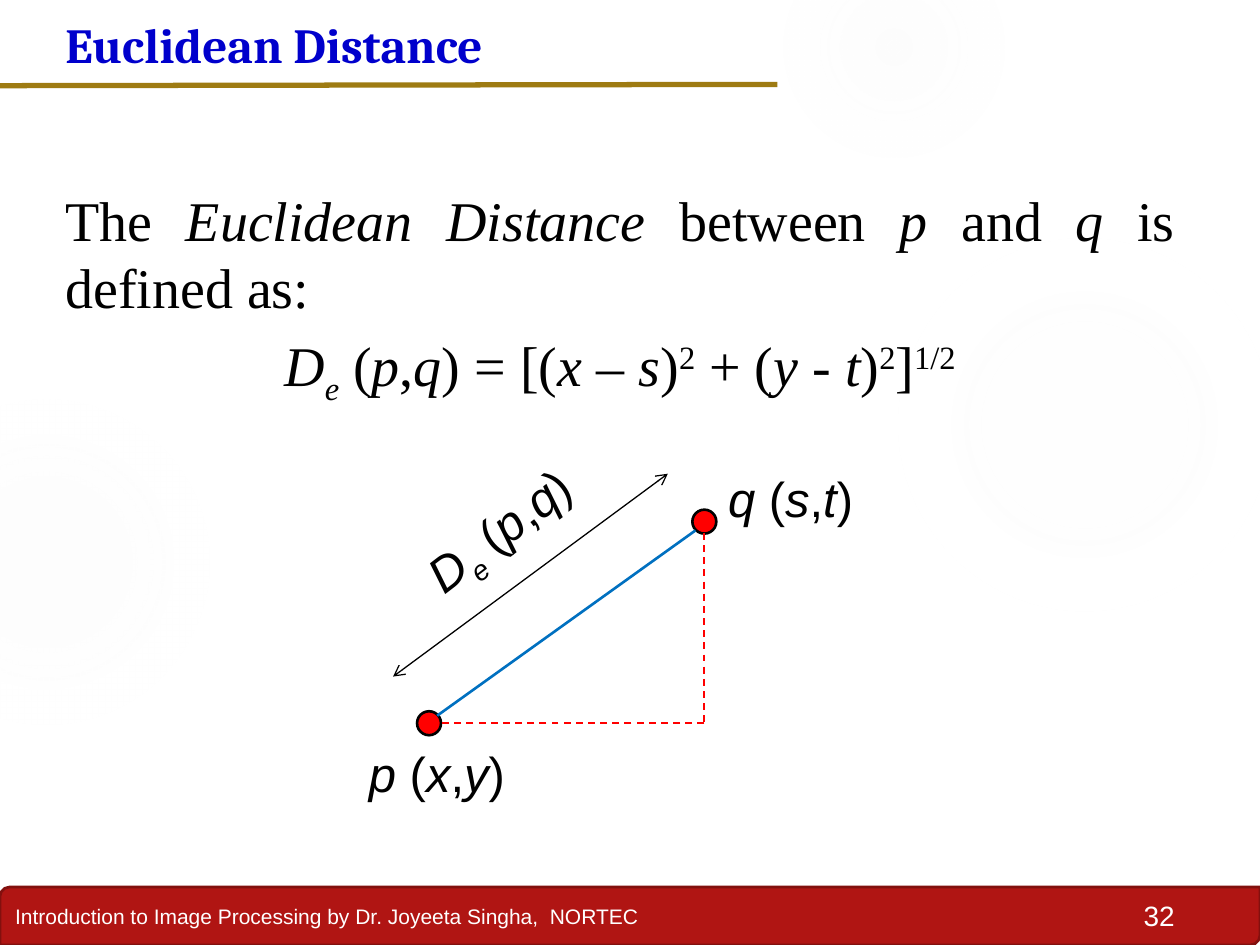
from lxml import etree
from pptx import Presentation
from pptx.dml.color import RGBColor as RGB
from pptx.enum.dml import MSO_LINE_DASH_STYLE as Dash
from pptx.enum.shapes import MSO_CONNECTOR as Conn, MSO_SHAPE as Shape
from pptx.enum.text import MSO_ANCHOR as Anchor, PP_ALIGN as Align
from pptx.oxml import parse_xml
from pptx.oxml.ns import nsdecls, qn
from pptx.util import Inches, Pt

COLORS = {
    "bar": "B01513", "edge": "82100E", "gold": "9E7B12", "title": "0000CC",
    "ink": "000000", "white": "FFFFFF", "dot": "FF0000", "link": "0070C0",
    "halo": "F3F3F3",
}
COLS, ROWS = 100, 75  # grid cells of a tenth of an inch
SHIFT = {"_": -25000, "^": 30000}


class Deck:
    def __init__(self):
        self.prs = Presentation()
        self.prs.slide_width, self.prs.slide_height = Inches(10), Inches(7.5)
        self.slide = self.prs.slides.add_slide(self.prs.slide_layouts[6])
        self.shapes = self.slide.shapes

    def color(self, name):
        return RGB.from_string(COLORS[name])

    def grid(self, x, y):
        width, height = self.prs.slide_width, self.prs.slide_height
        return round(x * width / COLS), round(y * height / ROWS)

    def label(self, para, text, size, font="Arial", color="ink", bold=None, align=None):
        """Split at |; a part led by / is italic, _ italic subscript, ^ superscript."""
        para.alignment = align
        face = para.font
        face.name, face.size, face.bold = font, Pt(size), bold
        face.color.rgb = self.color(color)
        for part in text.split("|"):
            mark = part[0] if part[0] in "/_^" else ""
            run = para.add_run()
            run.text = part[len(mark):]
            if mark in ("/", "_"):
                run.font.italic = True
            if mark in SHIFT:
                run.font._element.set("baseline", str(SHIFT[mark]))

    def text(self, x, y, w, h, lines, size, turn=0, wrap=True, gap=0,
             aligns=(None,), **style):
        box = self.shapes.add_textbox(*self.grid(x, y), *self.grid(w, h))
        box.rotation = turn
        frame = box.text_frame
        frame.word_wrap = wrap
        for i, (line, align) in enumerate(zip(lines, aligns)):
            para = frame.add_paragraph() if i else frame.paragraphs[0]
            para.space_before = Pt(gap)
            self.label(para, line, size, align=align, **style)

    def shape(self, kind, x, y, w, h, fill=None, line=None, width=1.5):
        item = self.shapes.add_shape(kind, *self.grid(x, y), *self.grid(w, h))
        item.shadow.inherit = False
        if fill:
            item.fill.solid()
            item.fill.fore_color.rgb = self.color(fill)
        if line:
            item.line.color.rgb = self.color(line)
            item.line.width = Pt(width)
        else:
            item.line.fill.background()
        return item

    def halo(self, x, y, size, stops):
        item = self.shape(Shape.OVAL, x, y, size, size)
        steps = "".join(
            f'<a:gs pos="{pos * 1000}"><a:srgbClr val="{COLORS["halo"]}">'
            f'<a:alpha val="{alpha * 1000}"/></a:srgbClr></a:gs>'
            for pos, alpha in stops)
        fill = parse_xml(
            f'<a:gradFill {nsdecls("a")}><a:gsLst>{steps}</a:gsLst><a:path path="circle">'
            '<a:fillToRect l="50000" t="50000" r="50000" b="50000"/></a:path></a:gradFill>')
        item._element.spPr.find(qn("a:prstGeom")).addnext(fill)

    def line(self, start, end, color, width, dash=None, arrows=False):
        item = self.shapes.add_connector(
            Conn.STRAIGHT, *self.grid(*start), *self.grid(*end))
        item.line.color.rgb = self.color(color)
        item.line.width = Pt(width)
        if dash:
            item.line.dash_style = dash
        if arrows:
            for tag in ("a:headEnd", "a:tailEnd"):
                etree.SubElement(item.line._get_or_add_ln(), qn(tag), type="arrow")
        etree.SubElement(item._element.spPr, qn("a:effectLst"))

    def dot(self, x, y, size=1.9):
        self.shape(Shape.OVAL, x - size / 2, y - size / 2, size, size, "dot", "ink")


def main():
    deck = Deck()

    # Footer bar and faint halos
    bar = deck.shape(Shape.ROUND_2_DIAG_RECTANGLE, 0, 70.4, COLS, 4.6, "bar", "edge")
    bar.text_frame.vertical_anchor = Anchor.MIDDLE
    deck.label(bar.text_frame.paragraphs[0],
               "Introduction to Image Processing by Dr. Joyeeta Singha,  NORTEC",
               12, color="white", align=Align.LEFT)
    deck.halo(70.7, 18.3, 30.8, [(0, 7), (36, 6), (69, 0)])
    deck.halo(62.2, -5, 17.5, [(0, 14), (36, 7), (73, 0)])
    deck.halo(-9.2, 31.7, 25.8, [(0, 8), (36, 8), (72, 0)])
    deck.text(86.7, 70.8, 7.5, 3.7, ["32"], 16, color="white", aligns=[Align.RIGHT])

    # Title and rule
    deck.line((-0.2, 6.8), (61.7, 6.7), "gold", 3)
    deck.text(4.2, 0.7, 35.2, 5.7, ["Euclidean Distance"], 28, wrap=False,
              font="Cambria", color="title", bold=True)

    # Definition
    deck.text(4.2, 14.2, 90, 18.3, [
        "The |/Euclidean Distance| between |/p| and |/q| is defined as:",
        "/D|_e| (|/p|,|/q|) = [(|/x| – |/s|)|^2| + (|/y| - |/t|)|^2|]|^1/2",
    ], 32, gap=6.4, aligns=[Align.JUSTIFY, Align.CENTER], font="Times New Roman")

    # Points p and q with the distance between them
    p, q = (34.05, 57.4), (55.9, 41.4)
    for point in (p, q):
        deck.dot(*point)
    deck.line((34.7, 56.8), (55.2, 42.1), "link", 1.5)
    deck.line((31.2, 53.7), (53, 37.6), "ink", 0.75, arrows=True)
    corner = (q[0], p[1])
    deck.line((q[0], q[1] + 0.9), corner, "dot", 1, Dash.DASH)
    deck.line(corner, (p[0] + 0.95, p[1]), "dot", 1, Dash.DASH)

    # Labels
    deck.text(56.8, 36.7, 19, 6.5, ["/q| (|/s|,|/t|)"], 28)
    deck.text(28.3, 58.5, 18, 6.5, ["/p| (|/x|,|/y|)"], 28)
    deck.text(31.7, 37.5, 20.4, 6.5, ["/D|_e| (|/p|,|/q|)"], 28, turn=322.6)

    deck.prs.save("out.pptx")


if __name__ == "__main__":
    main()
